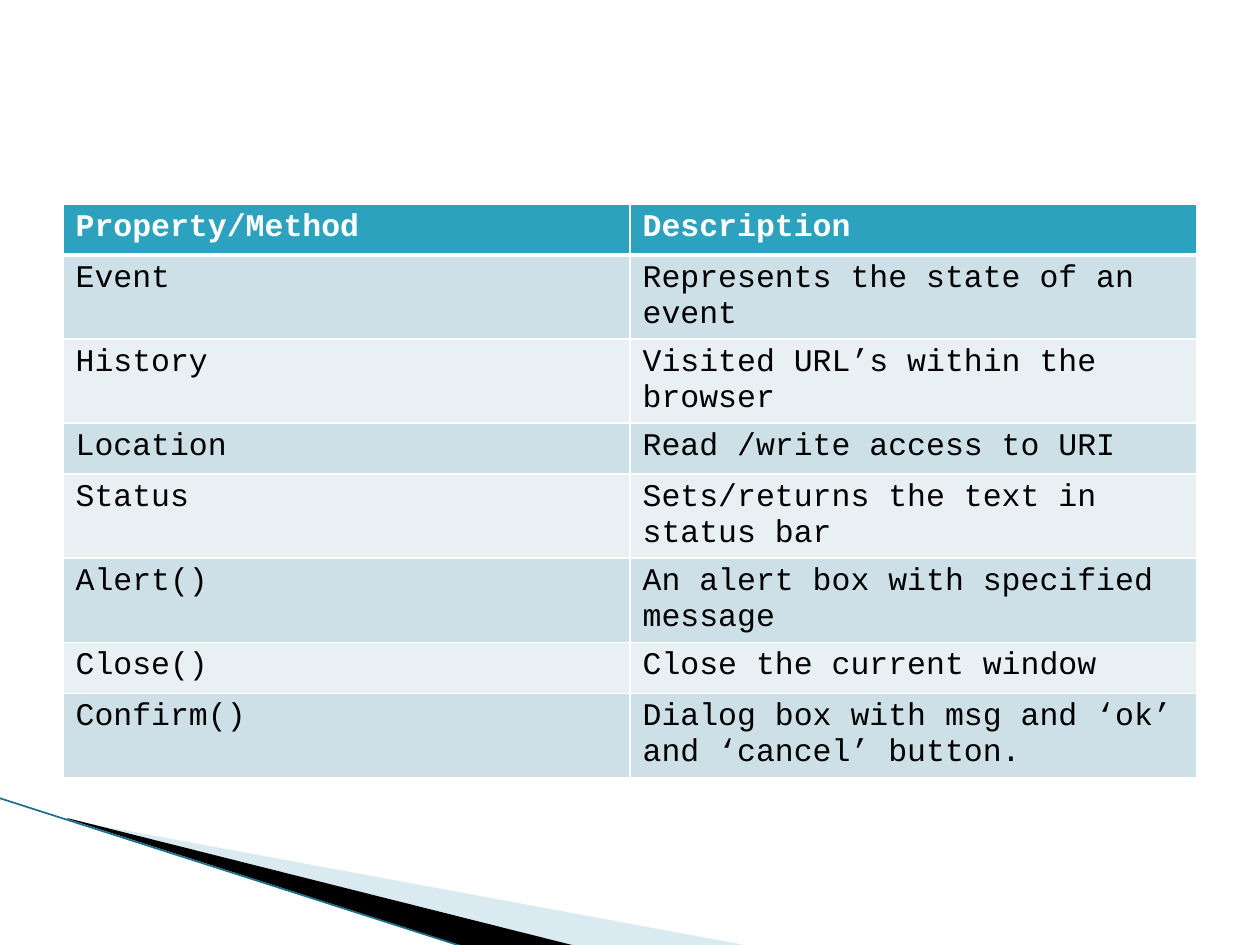
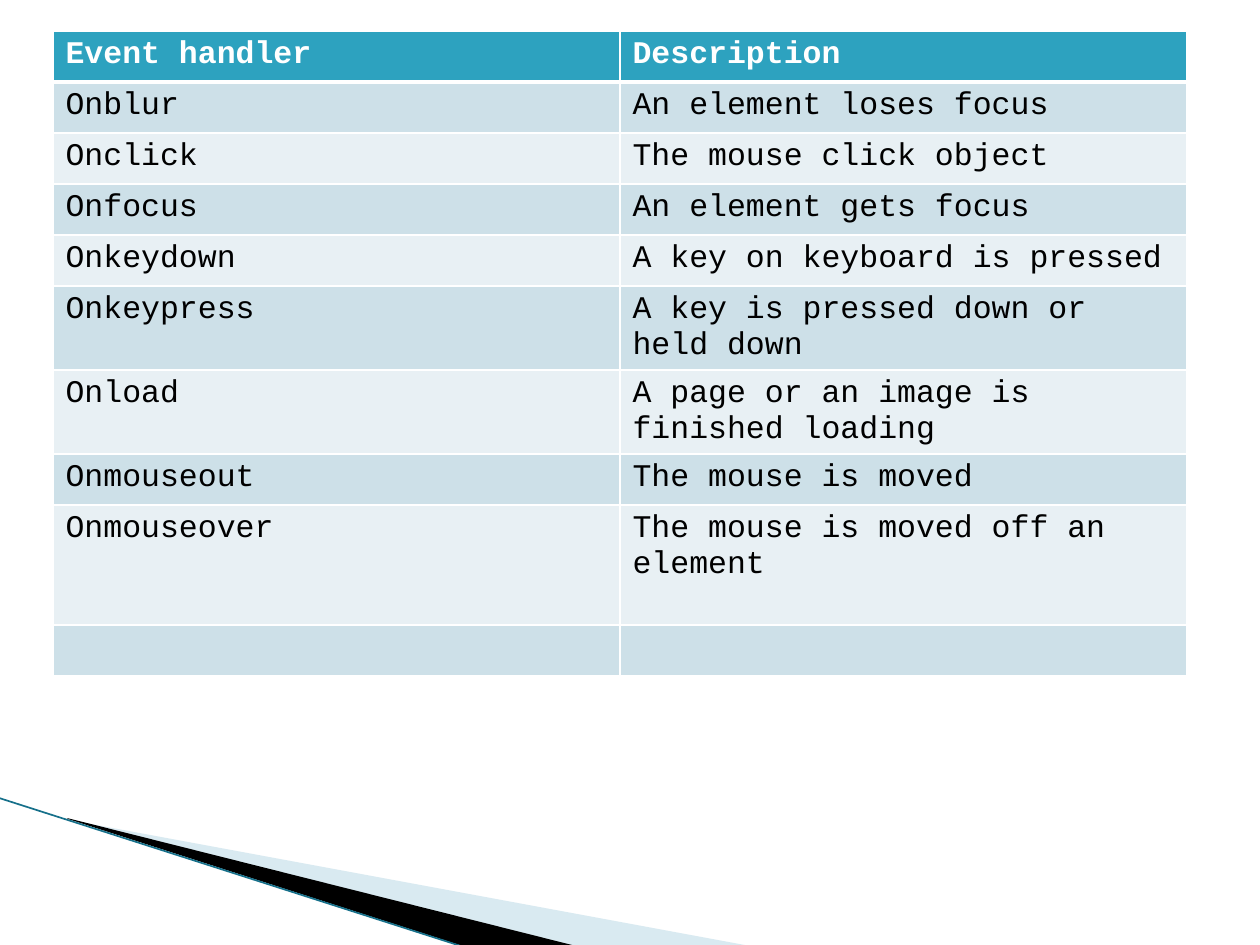
from dataclasses import dataclass
from pptx import Presentation
from pptx.dml.color import RGBColor as Rgb
from pptx.enum.shapes import MSO_CONNECTOR as Conn
from pptx.oxml.ns import qn
from pptx.util import Emu, Pt
from lxml.etree import SubElement as Sub

# Each table: place, header, rows, and any row taller than the rest.
TABLES = [
    dict(
        left=63, top=204,
        head=("Property/Method", "Description"),
        rows=[
            ("Event", "Represents the state of an event"),
            ("History", "Visited URL’s within the browser"),
            ("Location", "Read /write access to URI"),
            ("Status", "Sets/returns the text in status bar"),
            ("Alert()", "An alert box with specified message"),
            ("Close()", "Close the current window"),
            ("Confirm()", "Dialog box with msg and ‘ok’ and ‘cancel’ button."),
        ],
        tall={},
    ),
    dict(
        left=53, top=31,
        head=("Event handler", "Description"),
        rows=[
            ("Onblur", "An element loses focus"),
            ("Onclick", "The mouse click object"),
            ("Onfocus", "An element gets focus"),
            ("Onkeydown", "A key on keyboard is pressed"),
            ("Onkeypress", "A key is pressed down or held down"),
            ("Onload", "A page or an image is finished loading"),
            ("Onmouseout", "The mouse is moved"),
            ("Onmouseover", "The mouse is moved off an element"),
            ("", ""),
        ],
        tall={8: 120},
    ),
]


@dataclass(frozen=True)
class Theme:
    """Colours, type and line widths of the deck."""
    font: str = "Courier New"
    size: int = 18
    white: str = "FFFFFF"
    black: str = "000000"
    head: str = "2DA2BF"
    bands: tuple = ("CDE0E8", "E8F0F4")
    pale: str = "A0CBDC"
    edge: str = "16708A"
    thin: float = 1
    thick: float = 3


LOOK = Theme()
UNIT = 914400 / 126
WIDE, HIGH = 1260, 945
COL, ROW = 567, 51

# Corner wedges: points, colour, opacity in percent.
WEDGES = [
    ([(69, 820), (750, 946), (575, 946), (69, 819)], LOOK.pale, 40),
    ([(67, 818), (576, 946), (469, 948), (68, 819)], LOOK.black, 100),
]
EDGE = (-1, 798, 467, 948)


def px(num):
    """Turn pixels into EMU."""
    return Emu(round(num * UNIT))


def paint(fill, tint):
    """Give a fill one solid colour."""
    fill.solid()
    fill.fore_color.rgb = Rgb.from_string(tint)


def corner(slide):
    """Draw the wedges and the edge line at the lower left."""
    for points, tint, alpha in WEDGES:
        pen = slide.shapes.build_freeform(*points[0], scale=UNIT)
        pen.add_line_segments(points[1:], close=True)
        wedge = pen.convert_to_shape()
        wedge.shadow.inherit = False
        wedge.line.fill.background()
        paint(wedge.fill, tint)
        if alpha < 100:
            clr = wedge.fill._xPr.find(".//" + qn("a:srgbClr"))
            Sub(clr, qn("a:alpha"), val=str(alpha * 1000))
    line = slide.shapes.add_connector(Conn.STRAIGHT, *map(px, EDGE))
    line.line.color.rgb = Rgb.from_string(LOOK.edge)
    line.line.width = Pt(0.95)
    Sub(line._element.spPr, qn("a:effectLst"))


def border(cell, row):
    """Rule a cell in white, thicker under the header."""
    wide = {("B", 0), ("T", 1)}
    props = cell._tc.get_or_add_tcPr()
    for side in "LRTB":
        width = LOOK.thick if (side, row) in wide else LOOK.thin
        line = Sub(props, qn("a:ln" + side), w=str(Pt(width)))
        fill = Sub(line, qn("a:solidFill"))
        Sub(fill, qn("a:srgbClr"), val=LOOK.white)


def write(cell, text, row):
    """Fill one cell and set its text."""
    top = row == 0
    border(cell, row)
    paint(cell.fill, LOOK.head if top else LOOK.bands[(row - 1) % 2])
    para = cell.text_frame.paragraphs[0]
    para.font.size = Pt(LOOK.size)
    if not text:
        return
    run = para.add_run()
    run.text = text
    run.font.name = LOOK.font
    run.font.size = Pt(LOOK.size)
    run.font.bold = top
    run.font.color.rgb = Rgb.from_string(LOOK.white if top else LOOK.black)


def grid(slide, data):
    """Add a table with a header and banded rows."""
    lines = [data["head"], *data["rows"]]
    cols = len(data["head"])
    place = map(px, (data["left"], data["top"], COL * cols, ROW * len(lines)))
    table = slide.shapes.add_table(len(lines), cols, *place).table
    for col in table.columns:
        col.width = px(COL)
    for row, line in enumerate(lines):
        table.rows[row].height = px(data["tall"].get(row, ROW))
        for col, text in enumerate(line):
            write(table.cell(row, col), text, row)


def main():
    """Build the deck and save it."""
    deck = Presentation()
    deck.slide_width, deck.slide_height = px(WIDE), px(HIGH)
    blank = deck.slide_layouts[6]
    for data in TABLES:
        slide = deck.slides.add_slide(blank)
        corner(slide)
        grid(slide, data)
    deck.save("out.pptx")


main()
